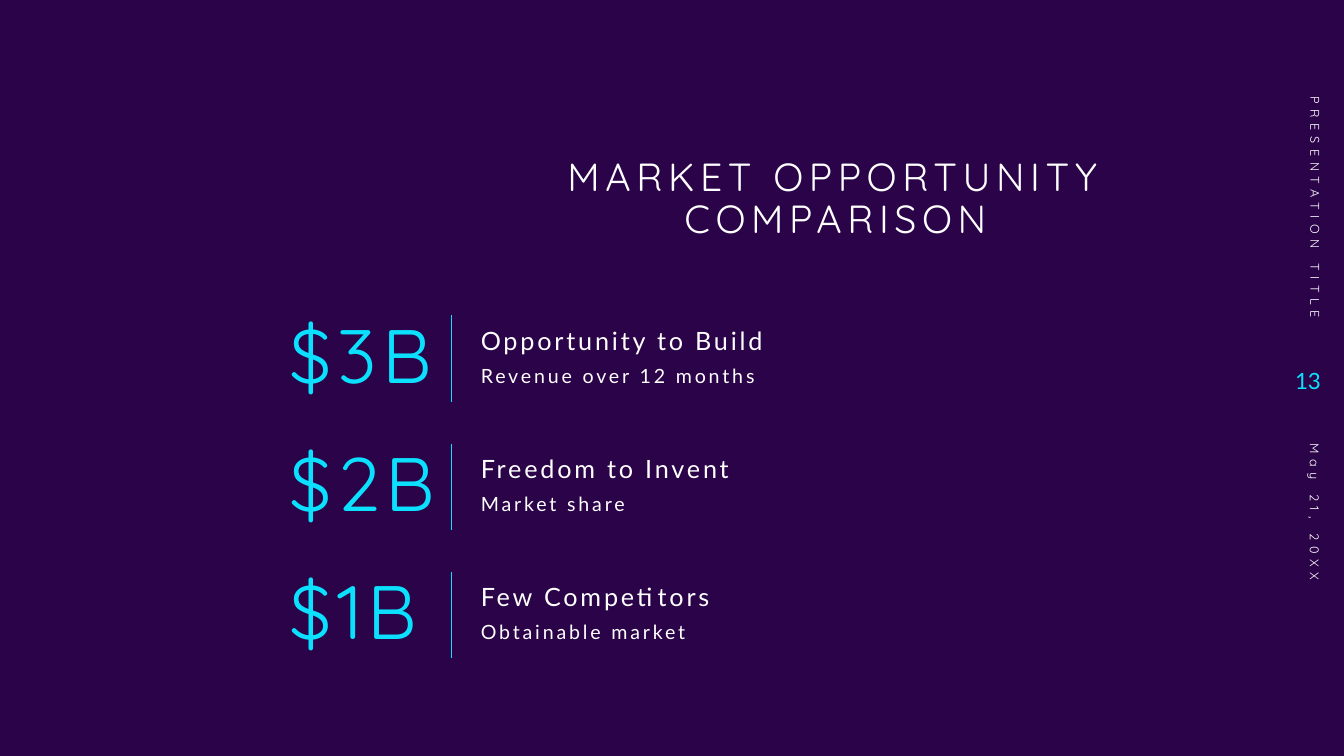
from dataclasses import dataclass
from lxml import etree
from pptx import Presentation
from pptx.dml.color import RGBColor
from pptx.enum.shapes import MSO_CONNECTOR
from pptx.enum.text import MSO_ANCHOR, MSO_AUTO_SIZE, PP_ALIGN
from pptx.oxml.ns import qn
from pptx.util import Inches, Pt

STRAIGHT = MSO_CONNECTOR.STRAIGHT
TOP, MIDDLE = MSO_ANCHOR.TOP, MSO_ANCHOR.MIDDLE
NO_FIT = MSO_AUTO_SIZE.NONE
LEFT, CENTER, RIGHT = PP_ALIGN.LEFT, PP_ALIGN.CENTER, PP_ALIGN.RIGHT


@dataclass(frozen=True)
class Theme:
    background: RGBColor = RGBColor.from_string("2B0348")
    text: RGBColor = RGBColor.from_string("FFFFFF")
    accent: RGBColor = RGBColor.from_string("0BE1FF")
    display_font: str = "Quicksand"
    body_font: str = "Lato"
    title_size: int = 28
    figure_size: int = 54
    heading_size: int = 18
    detail_size: int = 14
    number_size: int = 16
    margin_size: int = 9
    wide_tracking: int = 4
    tracking: int = 2


theme = Theme()


def write(box, text, size, font, color, tracking=0, align=LEFT, anchor=TOP, spacing=0.9):
    frame = box.text_frame
    frame.text = text
    frame.word_wrap = True
    frame.auto_size = NO_FIT
    frame.vertical_anchor = anchor
    para = frame.paragraphs[0]
    para.alignment = align
    para.line_spacing = spacing
    para.space_before = Pt(0)
    span = para.runs[0]
    span.font.size = Pt(size)
    span.font.name = font
    span.font.color.rgb = color
    span.font._element.set("spc", str(tracking * 100))


def add_box(left, top, width, height):
    return page.shapes.add_textbox(Inches(left), Inches(top), Inches(width), Inches(height))


deck = Presentation()
deck.slide_width, deck.slide_height = Inches(13.33), Inches(7.5)
page = deck.slides.add_slide(deck.slide_layouts.get_by_name("Title Only"))
page.background.fill.solid()
page.background.fill.fore_color.rgb = theme.background

title = page.shapes.title
title.left, title.top, title.width, title.height = map(Inches, (5.5, 1.51, 5.57, 1))
write(title, "MARKET OPPORTUNITY COMPARISON", theme.title_size, theme.display_font,
      theme.text, theme.wide_tracking, CENTER)

markets = [
    ("$3B", "Opportunity to Build", "Revenue over 12 months"),
    ("$2B", "Freedom to Invent", "Market share"),
    ("$1B", "Few Competitors", "Obtainable market"),
]
first_row, row_pitch = 2.98, 1.27
figure_left, divider_left, label_left = 2.77, 4.48, 4.67

for index, (figure, heading, detail) in enumerate(markets):
    row = first_row + index * row_pitch
    write(add_box(figure_left, row, 1.95, 1.17), figure, theme.figure_size,
          theme.display_font, theme.accent, theme.wide_tracking, anchor=MIDDLE)
    write(add_box(label_left, row + 0.23, 3.98, 0.42), heading, theme.heading_size,
          theme.body_font, theme.text, theme.tracking)
    write(add_box(label_left, row + 0.61, 3.98, 0.53), detail, theme.detail_size,
          theme.body_font, theme.text, theme.tracking)
    divider = page.shapes.add_connector(STRAIGHT, Inches(divider_left), Inches(row + 0.15),
                                        Inches(divider_left), Inches(row + 1.01))
    divider.line.color.rgb = theme.accent
    divider.line.width = Pt(0.5)
    etree.SubElement(divider._element.spPr, qn("a:effectLst"))

margin_notes = [
    ("PRESENTATION TITLE", 11.53, 1.54, 3.03, RIGHT),
    ("May 21, 20XX", 11.59, 5.55, 2.9, LEFT),
]
for text, left, top, width, align in margin_notes:
    note = add_box(left, top, width, 0.4)
    note.rotation = 90
    write(note, text, theme.margin_size, theme.display_font, theme.text,
          theme.wide_tracking, align, MIDDLE, 1)

write(add_box(12.6, 3.46, 0.6, 0.63), "13", theme.number_size, theme.body_font,
      theme.accent, align=RIGHT, anchor=MIDDLE, spacing=1)

deck.save("out.pptx")
